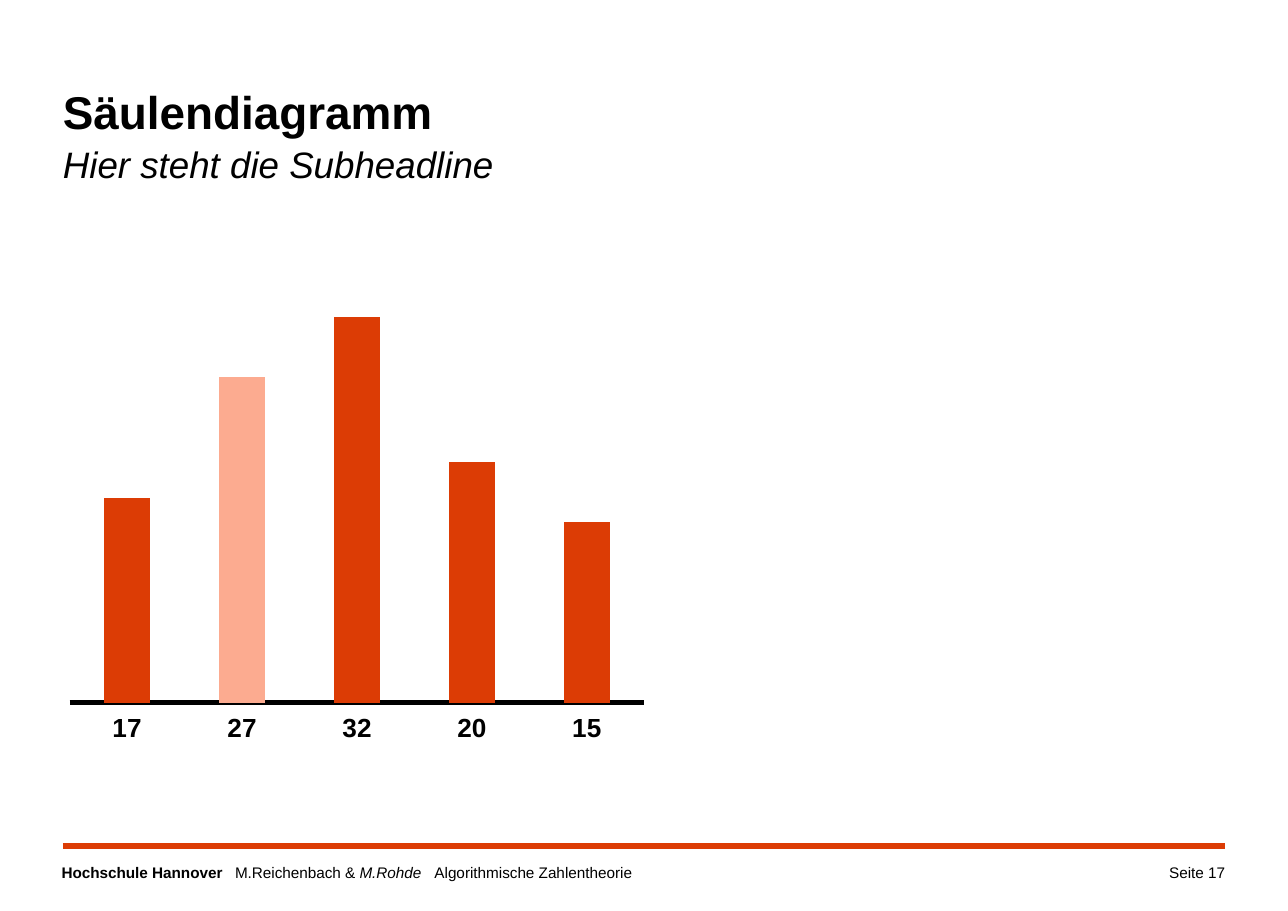
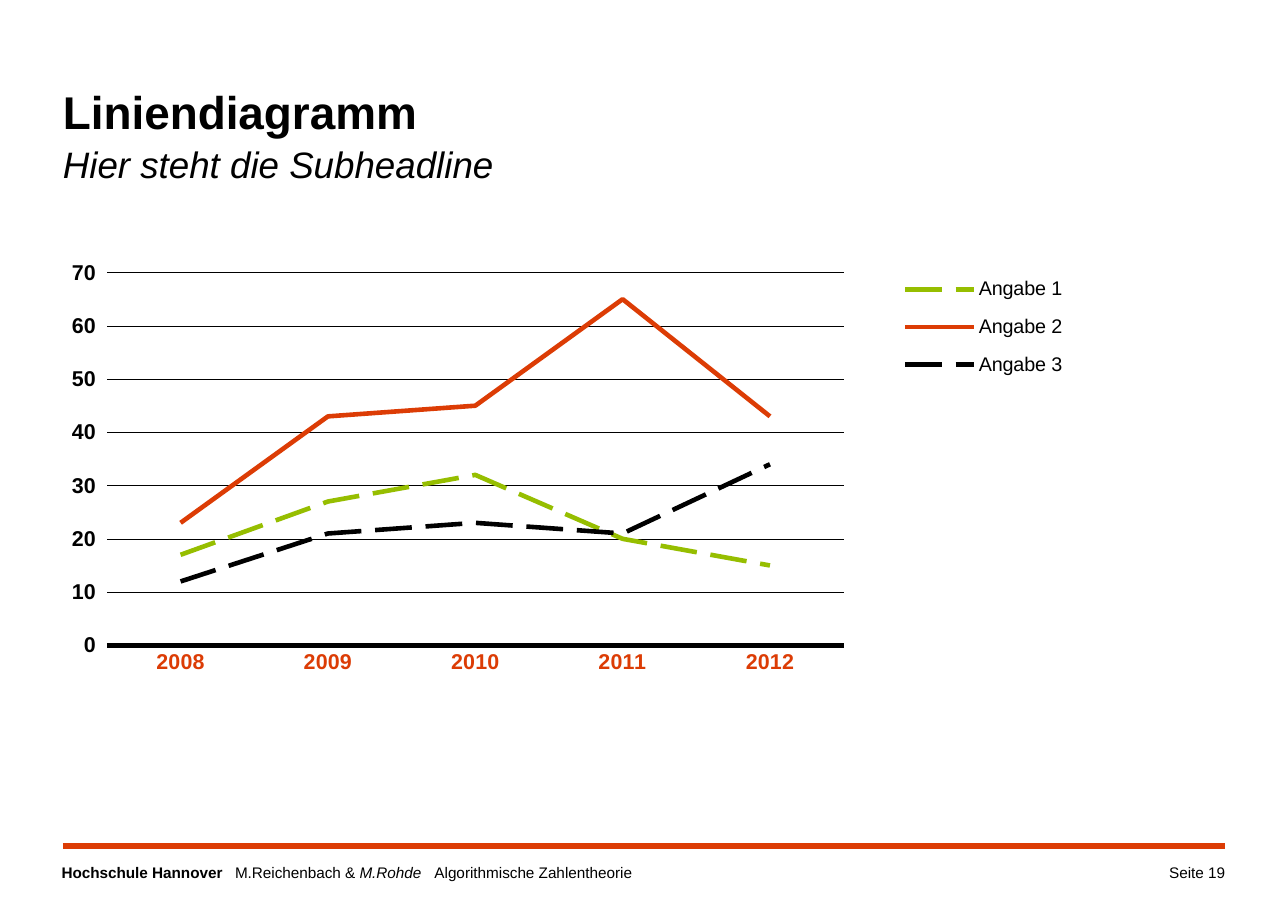
from lxml import etree
from pptx import Presentation
from pptx.chart.data import CategoryChartData
from pptx.dml.color import RGBColor
from pptx.enum.chart import XL_CHART_TYPE as ChartType, XL_LEGEND_POSITION as LegendPos
from pptx.enum.chart import XL_MARKER_STYLE as Marker, XL_TICK_LABEL_POSITION as LabelPos
from pptx.enum.chart import XL_TICK_MARK as Tick
from pptx.enum.dml import MSO_LINE_DASH_STYLE as Dash
from pptx.enum.shapes import MSO_CONNECTOR as Connector
from pptx.enum.text import PP_ALIGN as Align
from pptx.oxml.ns import qn
from pptx.util import Cm, Pt

BLACK = RGBColor(0, 0, 0)
ORANGE = RGBColor(0xDC, 0x3C, 0x05)
SALMON = RGBColor(0xFC, 0xAB, 0x90)
GREEN = RGBColor(0x96, 0xBE, 0x00)
FONT = "Arial"
LEFT, RIGHT = 1.45, 28.25


def add_text(slide, box, lines, align=Align.LEFT, spacing=1.0):
    frame = slide.shapes.add_textbox(*map(Cm, box)).text_frame
    frame.word_wrap = True
    frame.margin_left = frame.margin_right = frame.margin_top = frame.margin_bottom = 0
    paragraph = frame.paragraphs[0]
    paragraph.alignment = align
    paragraph.line_spacing = spacing
    for number, runs in enumerate(lines):
        if number:
            paragraph.add_line_break()
        for text, size, bold, italic in runs:
            run = paragraph.add_run()
            run.text = text
            run.font.name, run.font.size = FONT, Pt(size)
            run.font.bold, run.font.italic = bold, italic
            run.font.color.rgb = BLACK
    return paragraph


def set_layout(parent, index, box, inner=False):
    for old in parent.findall(qn("c:layout")):
        parent.remove(old)
    layout = etree.Element(qn("c:layout"))
    manual = etree.SubElement(layout, qn("c:manualLayout"))
    settings = [("layoutTarget", "inner")] if inner else []
    settings += [("xMode", "edge"), ("yMode", "edge"), *zip("xywh", box)]
    for tag, value in settings:
        etree.SubElement(manual, qn(f"c:{tag}")).set("val", str(value))
    parent.insert(index, layout)


prs = Presentation()
prs.slide_width, prs.slide_height = Cm(29.7), Cm(21)

charts = []
for headline, page, chart_type, box, plot_box, size, label_color, categories, data, top in [
    ("Säulendiagramm", 17, ChartType.COLUMN_CLUSTERED, (1.19, 6.1, 13.95, 12.32),
     (0.03, 0.03, 0.95, 0.79), 17.1, BLACK, ["17", "27", "32", "20", "15"],
     [("Series 1", (17, 27, 32, 20, 15))], 35),
    ("Liniendiagramm", 19, ChartType.LINE, (0.79, 5.08, 23.93, 10.95),
     (0.07, 0.11, 0.71, 0.785), 14, ORANGE, ["2008", "2009", "2010", "2011", "2012"],
     [("Angabe 1", (17, 27, 32, 20, 15)),
      ("Angabe 2", (23, 43, 45, 65, 43)),
      ("Angabe 3", (12, 21, 23, 21, 34))], 70),
]:
    slide = prs.slides.add_slide(prs.slide_layouts[6])

    footer = add_text(slide, (1.42, 19.91, 21.44, 0.61), [[
        ("Hochschule Hannover", 10, True, False),
        ("\tM.Reichenbach & ", 10, False, False),
        ("M.Rohde", 10, False, True),
        ("\tAlgorithmische Zahlentheorie", 10, False, False)]])
    tabs = etree.SubElement(footer._p.get_or_add_pPr(), qn("a:tabLst"))
    for position in (4, 8.6):
        etree.SubElement(tabs, qn("a:tab"), pos=str(Cm(position)), algn="l")

    rule = slide.shapes.add_connector(
        Connector.STRAIGHT, Cm(LEFT), Cm(19.5), Cm(RIGHT), Cm(19.5))
    rule.line.color.rgb, rule.line.width = ORANGE, Pt(4)
    etree.SubElement(rule._element.spPr, qn("a:effectLst"))

    add_text(slide, (RIGHT - 3.4, 19.91, 3.4, 0.64),
             [[(f"Seite {page}", 10, False, False)]], Align.RIGHT)

    chart_data = CategoryChartData()
    chart_data.categories = categories
    for name, values in data:
        chart_data.add_series(name, values)
    chart = slide.shapes.add_chart(chart_type, *map(Cm, box), chart_data).chart
    chart.has_title = chart.has_legend = False
    chart.font.name, chart.font.size = FONT, Pt(size)
    chart.font.color.rgb = BLACK
    chart.plots[0].vary_by_categories = False
    set_layout(chart._chartSpace.chart.plotArea, 0, plot_box, inner=True)

    for axis, color in ((chart.category_axis, label_color), (chart.value_axis, BLACK)):
        axis.major_tick_mark = axis.minor_tick_mark = Tick.NONE
        labels = axis.tick_labels.font
        labels.name, labels.size, labels.bold = FONT, Pt(size), True
        labels.color.rgb = color
    base_line = chart.category_axis.format.line
    base_line.color.rgb, base_line.width = BLACK, Pt(3)
    chart.value_axis.minimum_scale, chart.value_axis.maximum_scale = 0, top
    charts.append(chart)

    add_text(slide, (LEFT, 1.85, RIGHT - LEFT, 2.64),
             [[(headline, 30, True, False)],
              [("Hier steht die Subheadline", 24, False, True)]], spacing=1.07)

columns, lines = charts

columns.plots[0].gap_width = 150
columns.category_axis.tick_label_position = LabelPos.LOW
columns.value_axis.has_major_gridlines = False
columns.value_axis.visible = False
bars = columns.plots[0].series[0]
for fill, color in ((bars.format.fill, ORANGE), (bars.points[1].format.fill, SALMON)):
    fill.solid()
    fill.fore_color.rgb = color

values = lines.value_axis
values.major_unit = 10
values.major_tick_mark = Tick.OUTSIDE
values.format.line.fill.background()
grid = values.major_gridlines.format.line
grid.color.rgb, grid.width = BLACK, Pt(0.25)
for series, color, dash in zip(lines.plots[0].series, (GREEN, ORANGE, BLACK),
                               (Dash.LONG_DASH, Dash.SOLID, Dash.LONG_DASH)):
    series.smooth = False
    series.marker.style = Marker.NONE
    stroke = series.format.line
    stroke.color.rgb, stroke.width, stroke.dash_style = color, Pt(3), dash

lines.has_legend = True
legend = lines.legend
legend.position = LegendPos.RIGHT
legend.include_in_layout = False
legend.font.name, legend.font.size = FONT, Pt(12.9)
legend.font.color.rgb = BLACK
set_layout(legend._element, 1, (0.83, 0.09, 0.17, 0.27))

prs.save("out.pptx")
